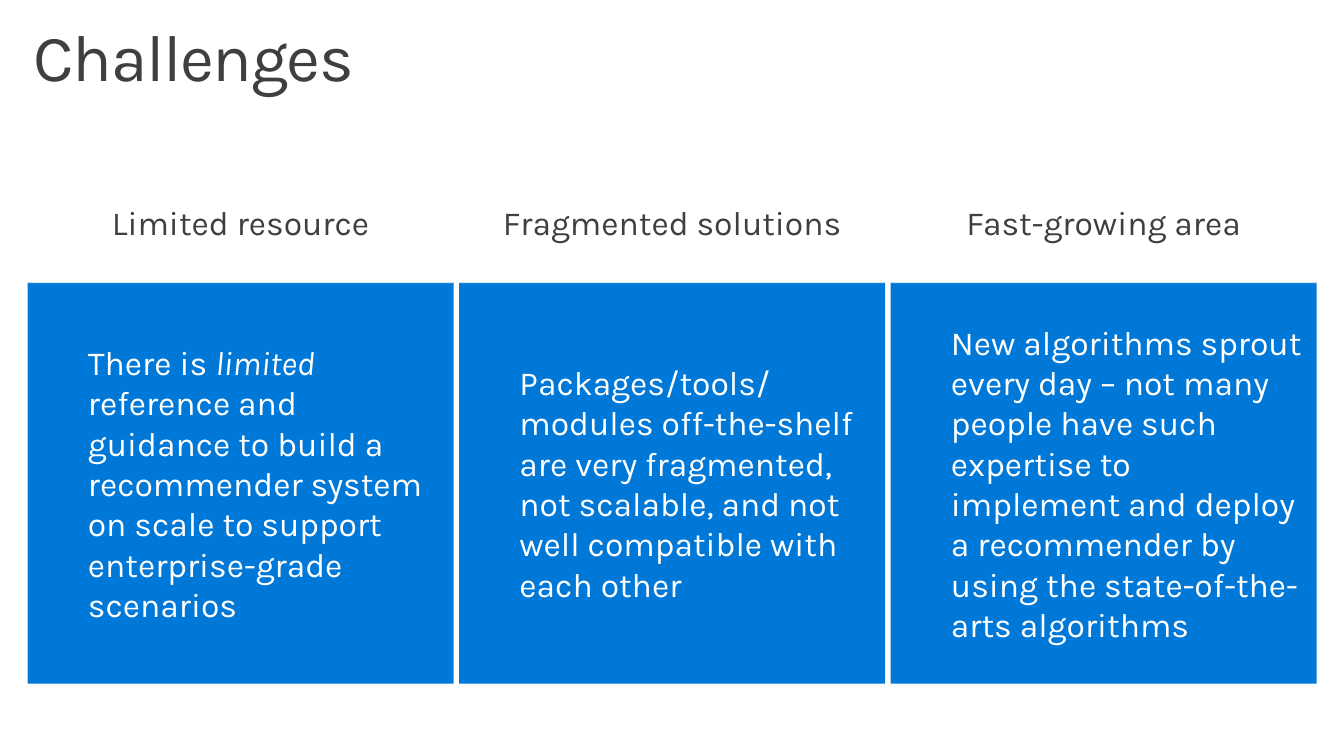
"""Build the Challenges slide: three headed columns of blue cards."""
from lxml.etree import SubElement
from pptx import Presentation
from pptx.dml.color import RGBColor
from pptx.enum.shapes import MSO_SHAPE as Preset
from pptx.enum.text import MSO_ANCHOR as Anchor, PP_ALIGN as Align
from pptx.oxml.ns import qn
from pptx.util import Cm, Pt

COLORS = {"text": "3F3F3F", "card": "0078D7", "white": "FFFFFF"}
COLUMNS = [
    ("Limited resource", [
        ("There is ", False),
        ("limited", True),
        (" reference and guidance to build a recommender system on scale "
         "to support enterprise-grade scenarios", False)]),
    ("Fragmented solutions", [
        ("Packages/tools/modules off-the-shelf are very fragmented, not scalable, "
         "and not well compatible with each other", False)]),
    ("Fast-growing area", [
        ("New algorithms sprout every day – not many people have such expertise to "
         "implement and deploy a recommender by using the state-of-the-arts "
         "algorithms", False)]),
]
LEFT, WIDTH, PITCH = 0.71, 10.95, 11.09
HEADING_TOP, HEADING_HEIGHT = 4.11, 3.17
CARD_TOP, CARD_HEIGHT = 7.26, 10.31


def write_runs(shape, runs, size, color, anchor, inset, **paragraph_format):
    """Fill the first paragraph of a shape and return it."""
    frame = shape.text_frame
    frame_format = {"word_wrap": True, "vertical_anchor": anchor,
                    "margin_left": Cm(inset), "margin_right": Cm(inset),
                    "margin_top": Cm(0.25), "margin_bottom": Cm(0.25)}
    for name, value in frame_format.items():
        setattr(frame, name, value)
    paragraph = frame.paragraphs[0]
    for name, value in paragraph_format.items():
        setattr(paragraph, name, value)
    for text, italic in runs:
        run = paragraph.add_run()
        run.text = text
        for name, value in {"name": "Karla", "size": Pt(size), "italic": italic}.items():
            setattr(run.font, name, value)
        run.font.color.rgb = RGBColor.from_string(COLORS[color])
    return paragraph


def add_panel(left, top, height, color):
    """Add a borderless filled rectangle one column wide."""
    shape = slide.shapes.add_shape(Preset.RECTANGLE, Cm(left), Cm(top), Cm(WIDTH), Cm(height))
    shape.shadow.inherit = False
    shape.fill.solid()
    shape.fill.fore_color.rgb = RGBColor.from_string(COLORS[color])
    shape.line.fill.background()
    return shape


presentation = Presentation()
presentation.slide_width, presentation.slide_height = Cm(34.54), Cm(19.43)
slide = presentation.slides.add_slide(presentation.slide_layouts[6])

title = slide.shapes.add_textbox(Cm(0.46), Cm(0.38), Cm(33.66), Cm(3.02))
paragraph = write_runs(title, [("Challenges", False)], 48, "text", Anchor.TOP, 0.41,
                       line_spacing=0.9)
paragraph.runs[0].font._element.set("spc", "-100")

for index, (heading, runs) in enumerate(COLUMNS):
    left = LEFT + index * PITCH
    card = add_panel(left, CARD_TOP, CARD_HEIGHT, "card")
    paragraph = write_runs(card, runs, 24.5, "white", Anchor.MIDDLE, 0.25,
                           alignment=Align.LEFT)
    properties = paragraph._p.get_or_add_pPr()
    properties.set("marL", str(Cm(1.3)))
    properties.set("indent", "0")

    header = add_panel(left, HEADING_TOP, HEADING_HEIGHT, "white")
    fill_color = header._element.spPr.find(qn("a:solidFill")).find(qn("a:srgbClr"))
    SubElement(fill_color, qn("a:alpha")).set("val", "70000")
    write_runs(header, [(heading, False)], 24.5, "text", Anchor.MIDDLE, 0.25,
               alignment=Align.CENTER, space_after=Pt(12.2))

presentation.save("out.pptx")
